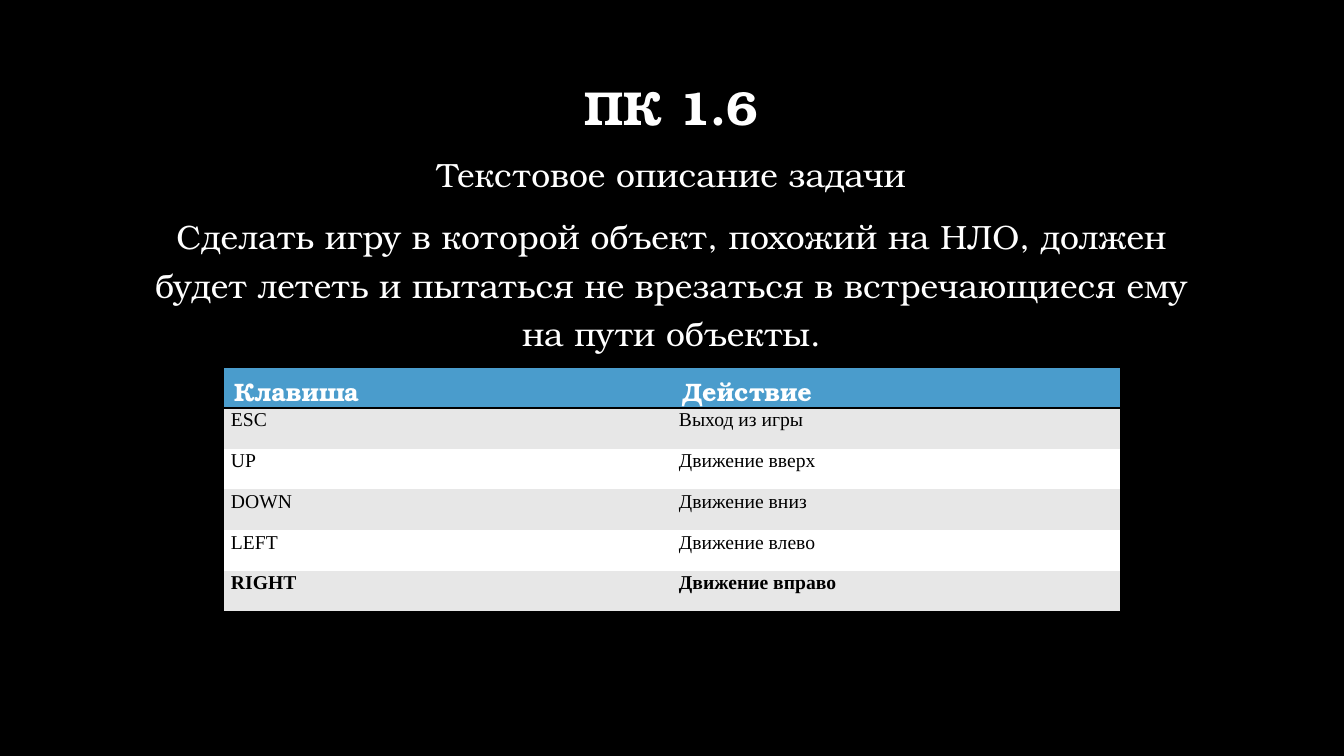
from lxml import etree
from pptx import Presentation
from pptx.dml.color import RGBColor
from pptx.enum.text import MSO_ANCHOR, PP_ALIGN
from pptx.oxml.ns import qn
from pptx.util import Pt

CENTER = PP_ALIGN.CENTER
TOP, BOTTOM = MSO_ANCHOR.TOP, MSO_ANCHOR.BOTTOM
PX = 914400 / 100.8
SERIF, TIMES = "TeX Gyre Bonum", "Times New Roman"
NO_GRID = "{2D5ABB26-0587-4C30-8999-92F81FD0307C}"
COLORS = {"black": "000000", "white": "FFFFFF", "blue": "4A9CCC", "gray": "E7E7E7"}

TASK = [
    "Текстовое описание задачи",
    "Сделать игру в которой объект, похожий на НЛО, должен будет лететь "
    "и пытаться не врезаться в встречающиеся ему на пути объекты.",
]
KEYS = [
    ("Клавиша", "Действие"),
    ("ESC", "Выход из игры"),
    ("UP", "Движение вверх"),
    ("DOWN", "Движение вниз"),
    ("LEFT", "Движение влево"),
    ("RIGHT", "Движение вправо"),
]


def px(n):
    return round(n * PX)


def rgb(name):
    return RGBColor.from_string(COLORS[name])


class Deck:
    """Holds the presentation, its style and the current slide."""

    def __init__(self):
        self.prs = Presentation()
        self.prs.slide_width, self.prs.slide_height = px(1344), px(756)
        self.slide = self.prs.slides.add_slide(self.prs.slide_layouts[6])
        fill = self.slide.background.fill
        fill.solid()
        fill.fore_color.rgb = rgb("black")

    def style(self, p, size, font, color, bold=False):
        for r in p.runs:
            r.font.size, r.font.name, r.font.bold = Pt(size), font, bold
            r.font.color.rgb = rgb(color)

    def text(self, box, lines, size, bold=False, spacing=1.0, gap=0, anchor=TOP):
        sp = self.slide.shapes.add_textbox(*map(px, box))
        tf = sp.text_frame
        tf.word_wrap, tf.vertical_anchor = True, anchor
        tf.text = "\n".join(lines)
        for i, p in enumerate(tf.paragraphs):
            p.alignment, p.line_spacing = CENTER, spacing
            p.space_before = Pt(gap if i else 0)
            self.style(p, size, SERIF, "white", bold)

    def border(self, cell, side):
        ln = etree.SubElement(cell._tc.get_or_add_tcPr(), qn(f"a:ln{side}"), w=str(Pt(2)))
        fill = etree.SubElement(ln, qn("a:solidFill"))
        etree.SubElement(fill, qn("a:srgbClr"), val=COLORS["black"])

    def cell(self, cell, text, row, last):
        header = row == 0
        for side in {0: "TB", last: "B"}.get(row, ""):
            self.border(cell, side)
        cell.fill.solid()
        cell.fill.fore_color.rgb = rgb("blue" if header else "gray" if row % 2 else "white")
        cell.text = text
        p = cell.text_frame.paragraphs[0]
        if header:
            self.style(p, 18, SERIF, "white", True)
        else:
            cell.margin_left = cell.margin_right = px(7)
            cell.margin_top = cell.margin_bottom = 0
            p.line_spacing = 1.07
            self.style(p, 14, TIMES, "black", row == last)

    def table(self, box, rows):
        shape = self.slide.shapes.add_table(len(rows), len(rows[0]), *map(px, box))
        table = shape.table
        table.horz_banding = False
        next(table._tbl.iter(qn("a:tableStyleId"))).text = NO_GRID
        for i, row in enumerate(rows):
            for j, text in enumerate(row):
                self.cell(table.cell(i, j), text, i, len(rows) - 1)


def main():
    deck = Deck()
    deck.text((135, 62, 1073, 79), ["ПК 1.6"], 34, bold=True, spacing=0.9, anchor=BOTTOM)
    deck.text((135, 141, 1073, 452), TASK, 24, spacing=1.2, gap=10)
    deck.table((224, 367, 896, 245), KEYS)
    deck.prs.save("out.pptx")


if __name__ == "__main__":
    main()
